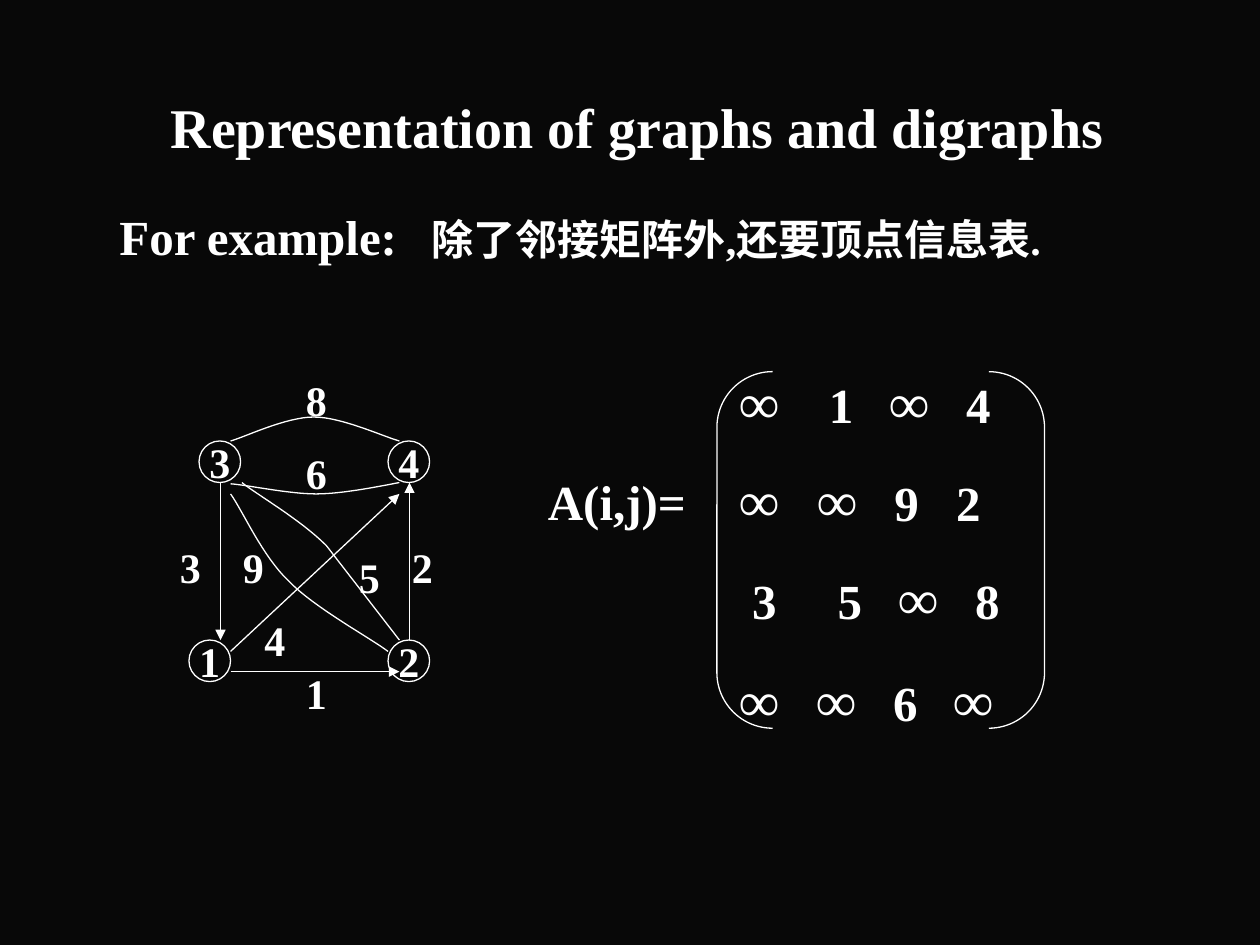
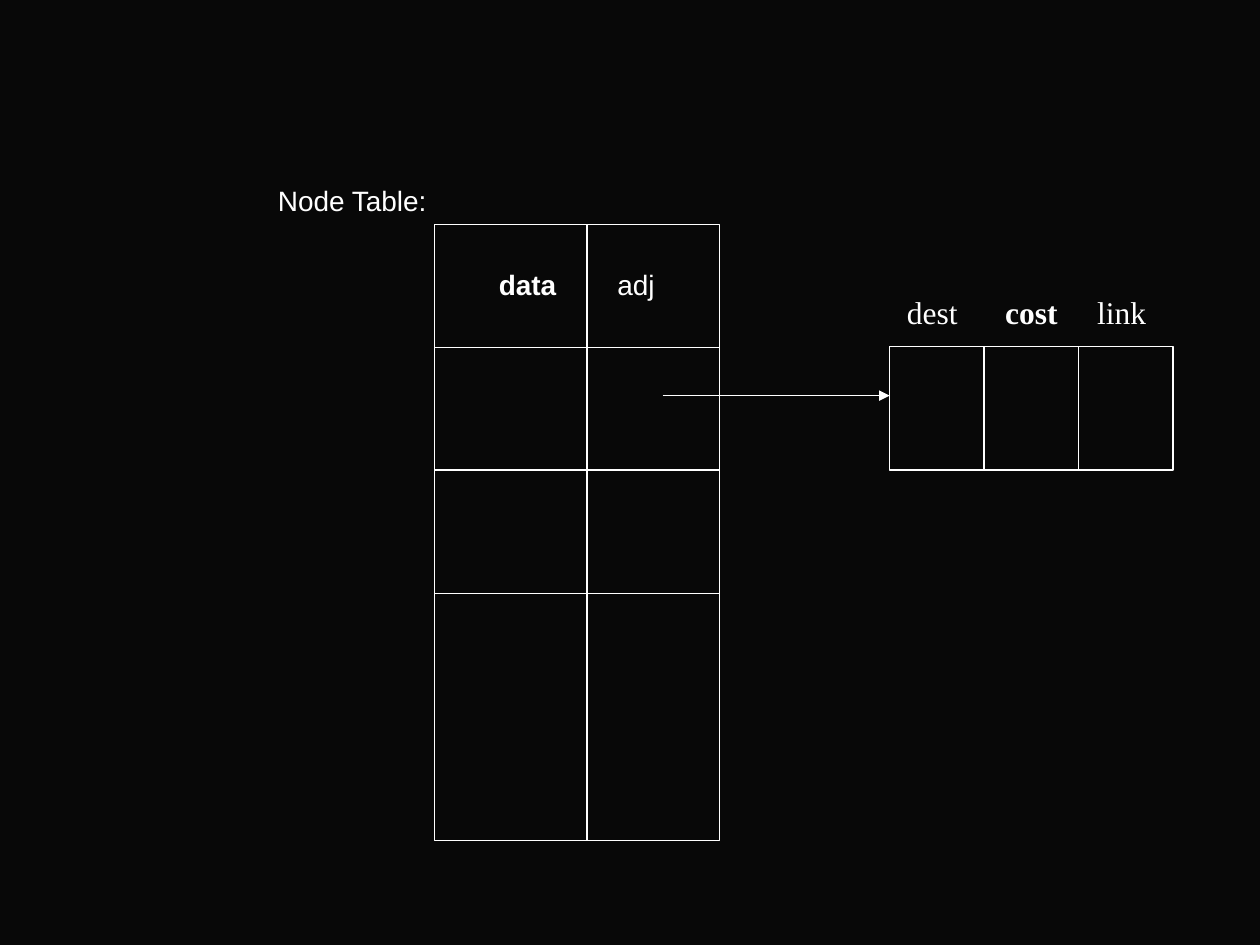
from lxml.etree import SubElement
from pptx import Presentation
from pptx.dml.color import RGBColor
from pptx.enum.shapes import MSO_CONNECTOR as Link, MSO_SHAPE as Shape
from pptx.enum.text import MSO_ANCHOR as Anchor, PP_ALIGN as Align
from pptx.oxml.ns import qn
from pptx.util import Pt

PX = 9144
WHITE = RGBColor(0xFF, 0xFF, 0xFF)
BLACK = RGBColor(0x08, 0x08, 0x08)
SERIF = "Times New Roman"
SANS = "Arial"
THIN = Pt(0.75)
NODE_SIZE = 33

NODES = {"3": (158, 350), "4": (308, 350), "1": (150, 508), "2": (308, 508)}
ARROWS = [
    (175, 383, 175, 508),
    (325, 508, 325, 383),
    (183, 533, 317, 533),
    (183, 517, 317, 392),
]
CURVES = [
    [(183, 350), (194, 347), (227, 331), (249, 331), (271, 331), (303, 346), (317, 350)],
    [(317, 383), (306, 385), (273, 392), (251, 392), (229, 392), (197, 385), (183, 384)],
    [(192, 383), (203, 392), (238, 412), (259, 433), (259, 433), (317, 508), (317, 508)],
    [(308, 517), (295, 507), (249, 482), (229, 461), (208, 441), (193, 406), (183, 392)],
]
WEIGHTS = [
    ("8", 233, 292), ("6", 233, 350), ("2", 317, 425), ("3", 133, 425),
    ("1", 233, 525), ("4", 200, 483), ("9", 183, 425), ("5", 275, 433),
]
MATRIX = [
    ("∞\t1\t∞\t4", (71, 119, 180), 0),
    ("∞\t∞\t9\t2", (62, 123, 172), 17.5),
    ("\t3\t5\t∞\t8", (10, 78, 126, 187), 17.5),
    ("∞\t∞\t6\t∞", (61, 122, 170), 20),
]


def px(*lengths):
    return [round(length * PX) for length in lengths]


def write(frame, spans, *, size=24, font=SERIF, bold=True, align=Align.LEFT,
          tabs=(), before=0, spacing=None, more=False):
    para = frame.add_paragraph() if more else frame.paragraphs[0]
    para.alignment = align
    para.space_before = Pt(before)
    if spacing:
        para.line_spacing = spacing
    if tabs:
        stops = SubElement(para._p.get_or_add_pPr(), qn("a:tabLst"))
        for stop in px(*tabs):
            SubElement(stops, qn("a:tab"), pos=str(stop), algn="l")
    if isinstance(spans, str):
        spans = [(spans, {})]
    for text, change in spans:
        span = para.add_run()
        span.text = text
        span.font.name = font
        span.font.size = Pt(change.get("size", size))
        span.font.bold = change.get("bold", bold)
        span.font.color.rgb = WHITE


def add_text(page, left, top, width, height, spans="", anchor=Anchor.TOP, **style):
    frame = page.shapes.add_textbox(*px(left, top, width, height)).text_frame
    frame.word_wrap = True
    frame.vertical_anchor = anchor
    if spans:
        write(frame, spans, **style)
    return frame


def outline(shape):
    shape.shadow.inherit = False
    shape.fill.background()
    shape.line.color.rgb = WHITE
    shape.line.width = THIN


def add_box(page, kind, left, top, width, height):
    box = page.shapes.add_shape(kind, *px(left, top, width, height))
    outline(box)
    return box


def add_node(page, name, left, top):
    frame = add_box(page, Shape.OVAL, left, top, NODE_SIZE, NODE_SIZE).text_frame
    frame.word_wrap = False
    frame.vertical_anchor = Anchor.MIDDLE
    write(frame, name, align=Align.CENTER)


def add_line(page, *ends, arrow=False):
    line = page.shapes.add_connector(Link.STRAIGHT, *px(*ends))
    line.line.color.rgb = WHITE
    line.line.width = THIN
    properties = line._element.spPr
    if arrow:
        SubElement(properties.find(qn("a:ln")), qn("a:tailEnd"), type="triangle")
    SubElement(properties, qn("a:effectLst"))


def bezier(controls, steps=16):
    for step in range(1, steps + 1):
        t = step / steps
        shares = ((1 - t) ** 3, 3 * t * (1 - t) ** 2, 3 * t * t * (1 - t), t ** 3)
        yield px(*(sum(share * point[axis] for share, point in zip(shares, controls))
                   for axis in (0, 1)))


def add_curve(page, points):
    builder = page.shapes.build_freeform(*px(*points[0]))
    for first in range(0, len(points) - 1, 3):
        builder.add_line_segments(bezier(points[first:first + 4]), close=False)
    outline(builder.convert_to_shape())


def add_page(deck):
    page = deck.slides.add_slide(deck.slide_layouts[6])
    page.background.fill.solid()
    page.background.fill.fore_color.rgb = BLACK
    return page


def add_matrix(page):
    add_text(page, 425, 369, 179, 57, "A(i,j)=", size=28)
    bracket = add_box(page, Shape.DOUBLE_BRACKET, 569, 295, 260, 283)
    bracket.adjustments[0] = 0.17
    frame = add_text(page, 577, 287, 269, 300)
    for index, (row, tabs, before) in enumerate(MATRIX):
        spans = [(mark, {"size": 32 if mark == "∞" else 28}) for mark in row]
        write(frame, spans, tabs=tabs, before=before, more=index > 0)


def add_graph_page(deck):
    page = add_page(deck)
    add_text(page, 81, 67, 850, 66, "Representation of graphs and digraphs",
             Anchor.MIDDLE, size=32, align=Align.CENTER)
    add_text(page, 85, 159, 840, 60,
             [("For example:\t", {"size": 28}), ("除了邻接矩阵外,还要顶点信息表.", {})],
             tabs=[248])
    for name, place in NODES.items():
        add_node(page, name, *place)
    for points in CURVES:
        add_curve(page, points)
    for ends in ARROWS:
        add_line(page, *ends, arrow=True)
    for weight, left, top in WEIGHTS:
        add_text(page, left, top, 50, 50, weight)
    add_matrix(page)


def add_node_table_page(deck):
    page = add_page(deck)
    left, top, width, row = 345, 178, 226, 98
    header = add_box(page, Shape.FLOWCHART_PROCESS, left, top, width, row).text_frame
    header.margin_left = px(51)[0]
    header.word_wrap = False
    header.vertical_anchor = Anchor.MIDDLE
    write(header, [("data\t", {"bold": True}), ("adj", {})],
          size=16, font=SANS, bold=False, tabs=[94], spacing=0.9)
    add_box(page, Shape.RECTANGLE, left, top + row, width, 4 * row - 1)
    for index in (2, 3):
        y = top + index * row - 1
        add_line(page, left, y, left + width, y)
    add_line(page, 466, top, 466, 667)

    cell = 75
    add_box(page, Shape.RECTANGLE, 706, 275, 3 * cell, row)
    for index in (1, 2):
        x = 706 + index * cell
        add_line(page, x, 275, x, 275 + row)
    add_line(page, 526, 314, 706, 314, arrow=True)
    add_text(page, 130, 144, 299, 34, "Node Table:", size=16, font=SANS,
             bold=False, align=Align.CENTER, spacing=0.9)
    add_text(page, 710, 228, 230, 40,
             [("dest\t", {}), ("cost\t", {"bold": True}), ("link", {})],
             size=18, bold=False, tabs=(78, 151))


def main():
    deck = Presentation()
    deck.slide_width, deck.slide_height = px(1000, 750)
    add_graph_page(deck)
    add_node_table_page(deck)
    deck.save("out.pptx")


if __name__ == "__main__":
    main()
